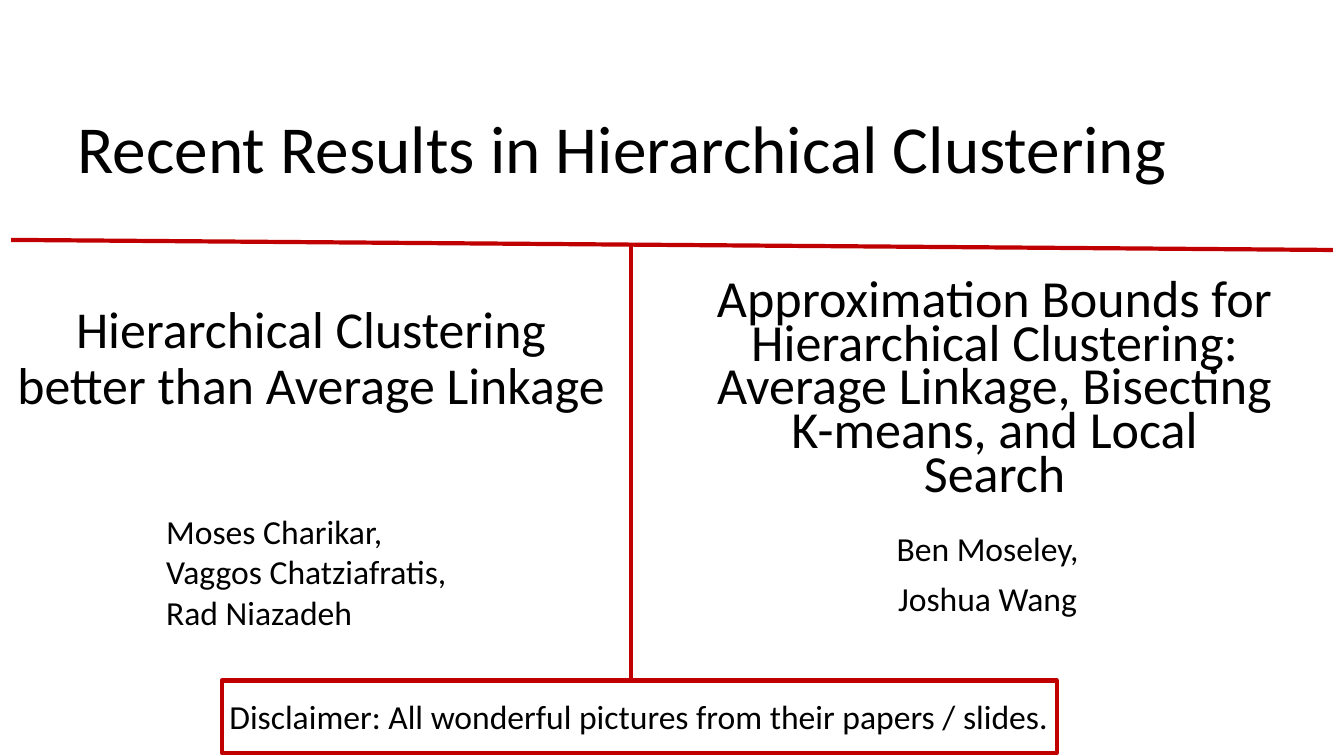
from pptx import Presentation
from pptx.util import Inches, Pt
from pptx.dml.color import RGBColor as Rgb
from pptx.enum.shapes import MSO_CONNECTOR as Conn, MSO_SHAPE as Form
from pptx.enum.text import MSO_ANCHOR as Anchor, MSO_AUTO_SIZE as Auto, PP_ALIGN as Align
from pptx.oxml.ns import qn
from lxml import etree

FONT = "Calibri"
HEX = {"text": "000000", "rule": "C00000"}
RULE = Pt(3)


def color(name):
    return Rgb.from_string(HEX[name])


def place(shape, left, top, width, height):
    shape.left, shape.top = Inches(left), Inches(top)
    shape.width, shape.height = Inches(width), Inches(height)


def write(shape, text, size, align=Align.LEFT, anchor=Anchor.TOP, lead=1.0, gap=0):
    """Fill a text shape; gap is the space before every later paragraph."""
    frame = shape.text_frame
    frame.text = text
    frame.word_wrap = True
    frame.auto_size = Auto.NONE
    frame.vertical_anchor = anchor
    for i, para in enumerate(frame.paragraphs):
        para.alignment = align
        para.line_spacing = lead
        para.space_before = Pt(gap if i else 0)
        for run in para.runs:
            run.font.name = FONT
            run.font.size = Pt(size)
            run.font.color.rgb = color("text")


def add_text(slide, box, text, size, **style):
    shape = slide.shapes.add_textbox(*map(Inches, box))
    write(shape, text, size, **style)


def add_rule(slide, *ends):
    line = slide.shapes.add_connector(Conn.STRAIGHT, *map(Inches, ends))
    line.line.color.rgb = color("rule")
    line.line.width = RULE
    etree.SubElement(line._element.spPr, qn("a:effectLst"))


def add_frame(slide, *box):
    rect = slide.shapes.add_shape(Form.RECTANGLE, *map(Inches, box))
    rect.shadow.inherit = False
    rect.fill.background()
    rect.line.color.rgb = color("rule")
    rect.line.width = RULE


def main():
    deck = Presentation()
    deck.slide_width, deck.slide_height = Inches(13.33), Inches(7.5)
    slide = deck.slides.add_slide(deck.slide_layouts[0])

    # Title and disclaimer
    title, note = slide.placeholders
    place(title, 0.67, 1, 12, 0.91)
    write(title, "Recent Results in Hierarchical Clustering", 48)
    place(note, 1.1, 6.93, 10.47, 0.43)
    write(note, "Disclaimer: All wonderful pictures from their papers / slides.",
          24, align=Align.CENTER, lead=0.8)

    # Left paper
    add_text(slide, (0.06, 2.69, 6.05, 1.48),
             "Hierarchical Clustering better than Average Linkage",
             37, align=Align.CENTER, anchor=Anchor.BOTTOM, lead=0.9)
    add_text(slide, (1.55, 5.02, 6.67, 1.31),
             "Moses Charikar,\nVaggos Chatziafratis,\nRad Niazadeh", 24)

    # Right paper
    add_text(slide, (6.84, 2.41, 6.05, 2.61),
             "Approximation Bounds for Hierarchical Clustering:\n"
             "Average Linkage, Bisecting K-means, and Local\nSearch",
             37.2, align=Align.CENTER, anchor=Anchor.BOTTOM, lead=0.7)
    add_text(slide, (7.73, 5.23, 4.13, 1.81), "Ben Moseley,\nJoshua Wang",
             24, align=Align.CENTER, lead=0.9, gap=10)

    # Dividers and disclaimer frame
    add_rule(slide, 0.11, 2.38, 13.22, 2.48)
    add_rule(slide, 6.26, 2.43, 6.26, 6.75)
    add_frame(slide, 2.2, 6.75, 8.28, 0.72)

    deck.save("out.pptx")


if __name__ == "__main__":
    main()
